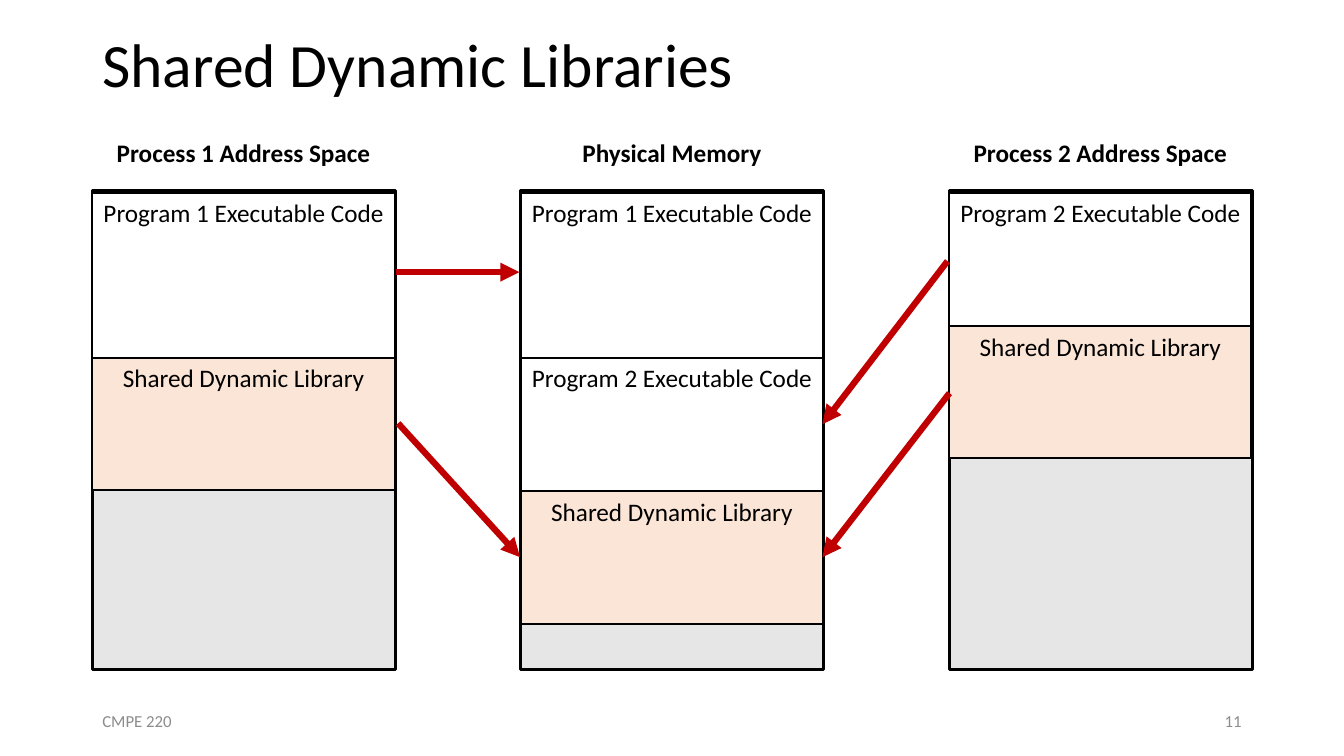
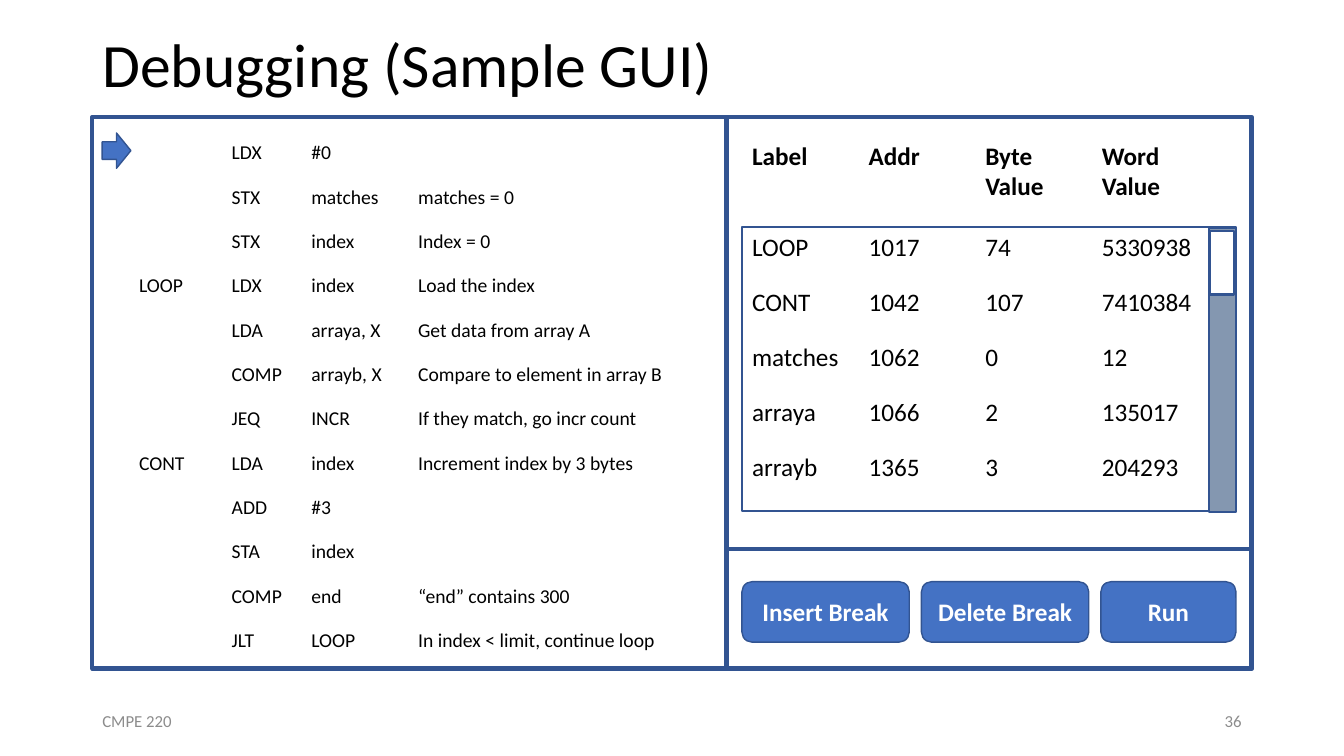
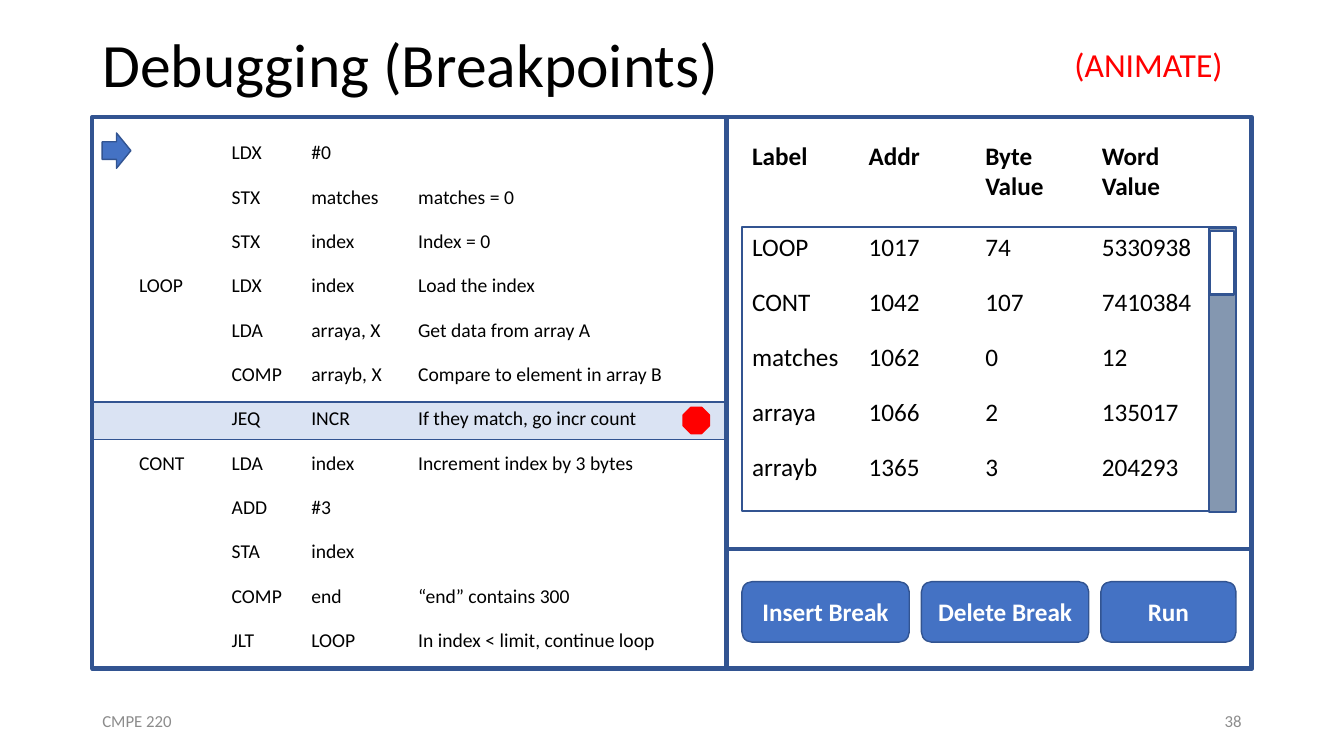
from pptx import Presentation
from pptx.dml.color import RGBColor
from pptx.enum.shapes import MSO_CONNECTOR, MSO_SHAPE
from pptx.enum.text import MSO_ANCHOR, PP_ALIGN
from pptx.oxml.ns import qn
from pptx.util import Pt
from lxml import etree

RECT, ROUND = MSO_SHAPE.RECTANGLE, MSO_SHAPE.ROUNDED_RECTANGLE
ARROW, STOP = MSO_SHAPE.RIGHT_ARROW, MSO_SHAPE.OCTAGON
LEFT, CENTER, RIGHT = PP_ALIGN.LEFT, PP_ALIGN.CENTER, PP_ALIGN.RIGHT
TOP, MIDDLE = MSO_ANCHOR.TOP, MSO_ANCHOR.MIDDLE
STRAIGHT = MSO_CONNECTOR.STRAIGHT

BLACK = RGBColor(0x00, 0x00, 0x00)
WHITE = RGBColor(0xFF, 0xFF, 0xFF)
GRAY = RGBColor(0x8C, 0x8C, 0x8C)
SILVER = RGBColor(0xE7, 0xE6, 0xE6)
PEACH = RGBColor(0xFB, 0xE5, 0xD6)
CRIMSON = RGBColor(0xC0, 0x00, 0x00)
RED = RGBColor(0xFF, 0x00, 0x00)
BLUE = RGBColor(0x44, 0x72, 0xC4)
NAVY = RGBColor(0x32, 0x54, 0x91)
SLATE = RGBColor(0x84, 0x97, 0xB0)
PALE = RGBColor(0xDA, 0xE3, 0xF3)
FONT = "Calibri"
PLAIN = "{2D5ABB26-0587-4C30-8999-92F81FD0307C}"


def write(frame, text, size=18, color=BLACK, bold=False, align=LEFT, anchor=TOP,
          space=None, wrap=True):
    frame.word_wrap = wrap
    frame.vertical_anchor = anchor
    para = frame.paragraphs[0]
    para.alignment = align
    para.line_spacing = space
    run = para.add_run()
    run.text = text
    run.font.name = FONT
    run.font.size = Pt(size)
    run.font.bold = bold
    run.font.color.rgb = color


def box(slide, kind, x, y, w, h, fill=None, line=NAVY, width=1.5):
    shape = slide.shapes.add_shape(kind, Pt(x), Pt(y), Pt(w), Pt(h))
    shape.shadow.inherit = False
    if fill is None:
        shape.fill.background()
    else:
        shape.fill.solid()
        shape.fill.fore_color.rgb = fill
    shape.line.color.rgb = line
    shape.line.width = Pt(width)
    return shape.text_frame


deck = Presentation()
deck.slide_width, deck.slide_height = Pt(960), Pt(540)

slides = []
for title, number in [("Shared Dynamic Libraries", "11"),
                      ("Debugging (Sample GUI)", "36"),
                      ("Debugging (Breakpoints)", "38")]:
    slide = deck.slides.add_slide(deck.slide_layouts[6])
    slides.append(slide)
    for text, x, y, w, h, style in [
        (title, 66, 0, 828, 97, dict(size=44, space=0.9)),
        ("CMPE 220", 66, 500.5, 216, 28.8, dict(size=12, color=GRAY)),
        (number, 678, 500.5, 216, 28.8, dict(size=12, color=GRAY, align=RIGHT)),
    ]:
        area = slide.shapes.add_textbox(Pt(x), Pt(y), Pt(w), Pt(h))
        write(area.text_frame, text, anchor=MIDDLE, **style)

memory, sample, breaks = slides

FIRST = ("Program 1 Executable Code", 118, WHITE)
SECOND = ("Program 2 Executable Code", 95.5, WHITE)
SHARED = ("Shared Dynamic Library", 94.5, PEACH)
spaces = [("Process 1 Address Space", [FIRST, SHARED]),
          ("Physical Memory", [FIRST, SECOND, SHARED]),
          ("Process 2 Address Space", [SECOND, SHARED])]
for col, (head, parts) in enumerate(spaces):
    x = 66 + col * 306
    area = memory.shapes.add_textbox(Pt(x), Pt(94.3), Pt(216), Pt(29))
    write(area.text_frame, head, bold=True, align=CENTER)
    box(memory, RECT, x, 136.3, 216.5, 342, SILVER, BLACK, 2.25)
    y = 137.5
    for text, h, fill in parts:
        write(box(memory, RECT, x, y, 216, h, fill, BLACK), text, align=CENTER)
        y += h

for x1, y1, x2, y2 in [(283, 194.4, 371, 194.4), (284.4, 302.4, 371.5, 398),
                       (678.2, 280.8, 587.5, 398), (676.8, 186.5, 587.5, 303)]:
    link = memory.shapes.add_connector(STRAIGHT, Pt(x1), Pt(y1), Pt(x2), Pt(y2))
    link.line.color.rgb = CRIMSON
    link.line.width = Pt(4.5)
    etree.SubElement(link.line._get_or_add_ln(), qn("a:tailEnd"), type="triangle")
    etree.SubElement(link._element.spPr, qn("a:effectLst"))

code = [
    ("", "", "LDX", "#0", "", ""),
    ("", "", "STX", "matches", "matches = 0", ""),
    ("", "", "STX", "index", "Index = 0", ""),
    ("", "LOOP", "LDX", "index", "Load the index", ""),
    ("", "", "LDA", "arraya, X", "Get data from array A", ""),
    ("", "", "COMP", "arrayb, X", "Compare to element in array B", ""),
    ("", "", "JEQ", "INCR", "If they match, go incr count", ""),
    ("", "CONT", "LDA", "index", "Increment index by 3 bytes", ""),
    ("", "", "ADD", "#3", "", ""),
    ("", "", "STA", "index", "", ""),
    ("", "", "COMP", "end", "“end” contains 300", ""),
    ("", "", "JLT", "LOOP", "In index < limit, continue loop", ""),
]
labels = [
    ("Label", "Addr", "Byte Value", "Word Value"),
    ("LOOP", "1017", "74", "5330938"),
    ("CONT", "1042", "107", "7410384"),
    ("matches", "1062", "0", "12"),
    ("arraya", "1066", "2", "135017"),
    ("arrayb", "1365", "3", "204293"),
]
grids = [
    (code, 65.5, [26.6, 66.2, 56.9, 76.3, 190, 34.6], [31.68] * 12, 14, False),
    (labels, 530, [83.3] * 4, [65.5] + [39.3] * 5, 18, True),
]

box(breaks, RECT, 66, 287, 453, 27, PALE, NAVY, 1)
for slide in (sample, breaks):
    for rows, x, wides, highs, size, header in grids:
        grid = slide.shapes.add_table(len(rows), len(wides), Pt(x), Pt(97.2),
                                      Pt(sum(wides)), Pt(sum(highs))).table
        grid.first_row = grid.horz_banding = False
        grid._tbl.tblPr.find(qn("a:tableStyleId")).text = PLAIN
        for col, wide in zip(grid.columns, wides):
            col.width = Pt(wide)
        for i, (row, high) in enumerate(zip(rows, highs)):
            grid.rows[i].height = Pt(high)
            for j, text in enumerate(row):
                cell = grid.cell(i, j)
                cell.fill.background()
                if text:
                    write(cell.text_frame, text, size=size, bold=header and i == 0)

    for x, y, w, h in [(66, 83.5, 453, 394), (519, 83.5, 375, 394),
                       (519, 392, 375, 85.5)]:
        box(slide, RECT, x, y, w, h, width=3)

    x = 530
    for text, w in [("Insert Break", 119.5), ("Delete Break", 119.5), ("Run", 96.5)]:
        write(box(slide, ROUND, x, 415.5, w, 43.2, BLUE, NAVY, 1), text,
              color=WHITE, bold=True, align=CENTER, anchor=MIDDLE)
        x += w + 8.7

    box(slide, RECT, 530, 162, 353, 203)
    box(slide, RECT, 863.3, 162.7, 19.5, 203, SLATE)
    box(slide, RECT, 864, 165, 17.3, 45.4, WHITE)
    box(slide, ARROW, 73, 95, 20.5, 25.2, BLUE, NAVY, 1)

box(breaks, STOP, 488, 291, 18.7, 18.7, RED, RED, 1)
area = breaks.shapes.add_textbox(Pt(759.6), Pt(28), Pt(121.7), Pt(36))
write(area.text_frame, "(ANIMATE)", size=24, color=RED, align=CENTER, wrap=False)

deck.save("out.pptx")
